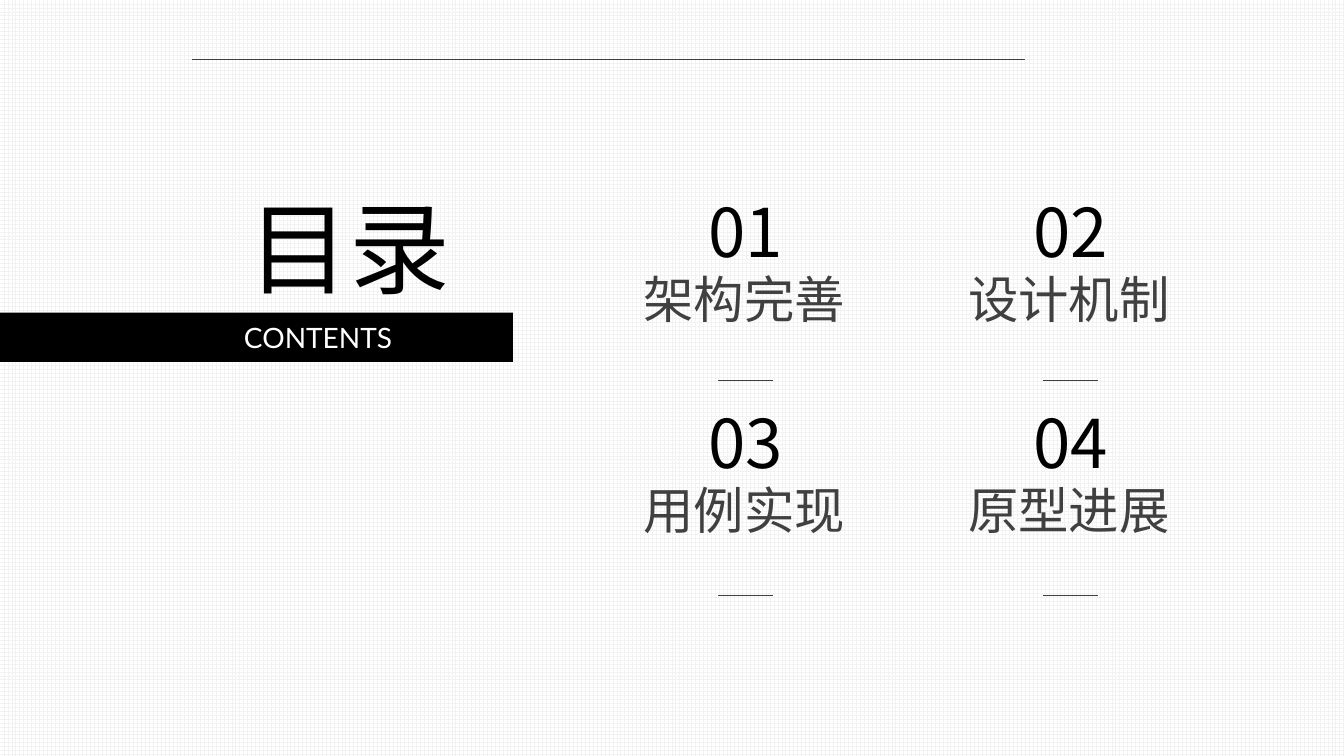
from lxml import etree
from pptx import Presentation
from pptx.dml.color import RGBColor
from pptx.enum.dml import MSO_PATTERN
from pptx.enum.shapes import MSO_CONNECTOR, MSO_SHAPE
from pptx.enum.text import MSO_ANCHOR, MSO_AUTO_SIZE as AutoSize, PP_ALIGN as Align
from pptx.oxml.ns import qn
from pptx.util import Cm, Pt

COLORS = {"ink": "000000", "paper": "FFFFFF", "grid": "F2F2F2", "gray": "404040"}
CJK, LATIN = "Noto Sans CJK SC", "Lato"
TOPIC_ROWS = [
    [("01", "架构完善"), ("02", "设计机制")],
    [("03", "用例实现"), ("04", "原型进展")],
]
RULE_OFFSETS = [4.92, 5.03]
COLUMN_STEP, ROW_STEP = 8.18, 5.32


def rgb(name):
    """Return the palette colour with this name."""
    return RGBColor.from_string(COLORS[name])


def write(holder, text, size, color, font=CJK, align=Align.LEFT, wrap=True):
    """Write one formatted paragraph into a text holder."""
    frame = holder.text_frame
    frame.text = text
    frame.word_wrap = wrap
    frame.auto_size = AutoSize.SHAPE_TO_FIT_TEXT
    frame.vertical_anchor = MSO_ANCHOR.TOP
    paragraph = frame.paragraphs[0]
    paragraph.alignment = align
    paragraph.font.size = Pt(size)
    paragraph.font.name = font
    paragraph.font.color.rgb = rgb(color)
    properties = paragraph.font._element
    latin = properties.find(qn("a:latin"))
    east_asian = etree.Element(qn("a:ea"), typeface=font)
    latin.addnext(east_asian)


def add_rule(shapes, left, top, width):
    """Draw a thin horizontal rule."""
    rule = shapes.add_connector(
        MSO_CONNECTOR.STRAIGHT, Cm(left), Cm(top), Cm(left + width), Cm(top))
    rule.line.color.rgb = rgb("gray")
    rule.line.width = Pt(0.5)
    etree.SubElement(rule._element.spPr, qn("a:effectLst"))


def add_heading(slide, left, top, width, height):
    """Place the title above the black band with its subtitle."""
    title = slide.shapes.title
    title.left, title.top = Cm(left + 6.02), Cm(top)
    title.width, title.height = Cm(width - 6.6), Cm(3.33)
    write(title, "目录", 72, "ink", align=Align.JUSTIFY)

    band_top = top + 3.33
    band = slide.shapes.add_shape(
        MSO_SHAPE.RECTANGLE, Cm(left), Cm(band_top), Cm(width), Cm(height - 3.33))
    band.shadow.inherit = False
    band.fill.solid()
    band.fill.fore_color.rgb = rgb("ink")
    band.line.fill.background()

    subtitle = slide.shapes.add_textbox(
        Cm(left + 5.9), Cm(band_top + 0.07), Cm(6.32), Cm(1.12))
    write(subtitle, "CONTENTS", 20, "paper", LATIN, Align.JUSTIFY)


def add_topic(shapes, left, top, number, name, rule_offset):
    """Place a number, its topic name and the rule below."""
    number_box = shapes.add_textbox(Cm(left + 1.14), Cm(top), Cm(3.38), Cm(2.31))
    write(number_box, number, 48, "ink", align=Align.CENTER)
    name_box = shapes.add_textbox(Cm(left), Cm(top + 1.97), Cm(5.64), Cm(1.8))
    write(name_box, name, 36, "gray", wrap=False)
    add_rule(shapes, left + 2.13, top + rule_offset, 1.38)


def add_topics(slide, left, top):
    """Lay out the topics in a grid, one group per row."""
    for row, (topics, rule_offset) in enumerate(zip(TOPIC_ROWS, RULE_OFFSETS)):
        group = slide.shapes.add_group_shape()
        for column, (number, name) in enumerate(topics):
            add_topic(group.shapes, left + column * COLUMN_STEP,
                      top + row * ROW_STEP, number, name, rule_offset)


def main():
    """Build and save the contents slide."""
    presentation = Presentation()
    presentation.slide_width, presentation.slide_height = Cm(33.87), Cm(19.05)
    slide = presentation.slides.add_slide(presentation.slide_layouts[5])
    backdrop = slide.background.fill
    backdrop.patterned()
    backdrop.pattern = MSO_PATTERN.LARGE_GRID
    backdrop.fore_color.rgb = rgb("grid")
    backdrop.back_color.rgb = rgb("paper")

    add_heading(slide, 0, 4.55, 12.93, 4.57)
    add_topics(slide, 15.97, 4.66)
    add_rule(slide.shapes, 4.83, 1.5, 21)
    presentation.save("out.pptx")


if __name__ == "__main__":
    main()
